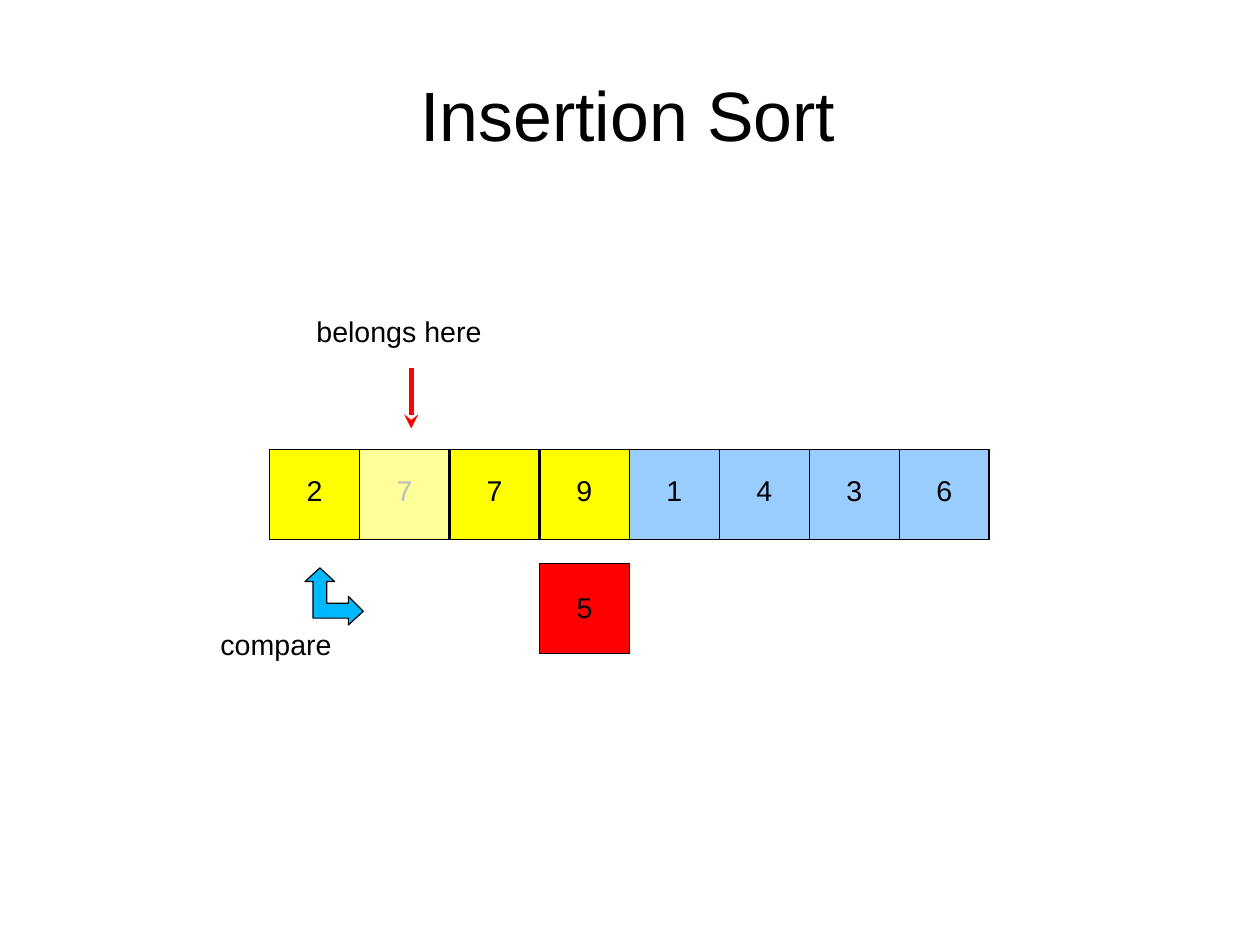
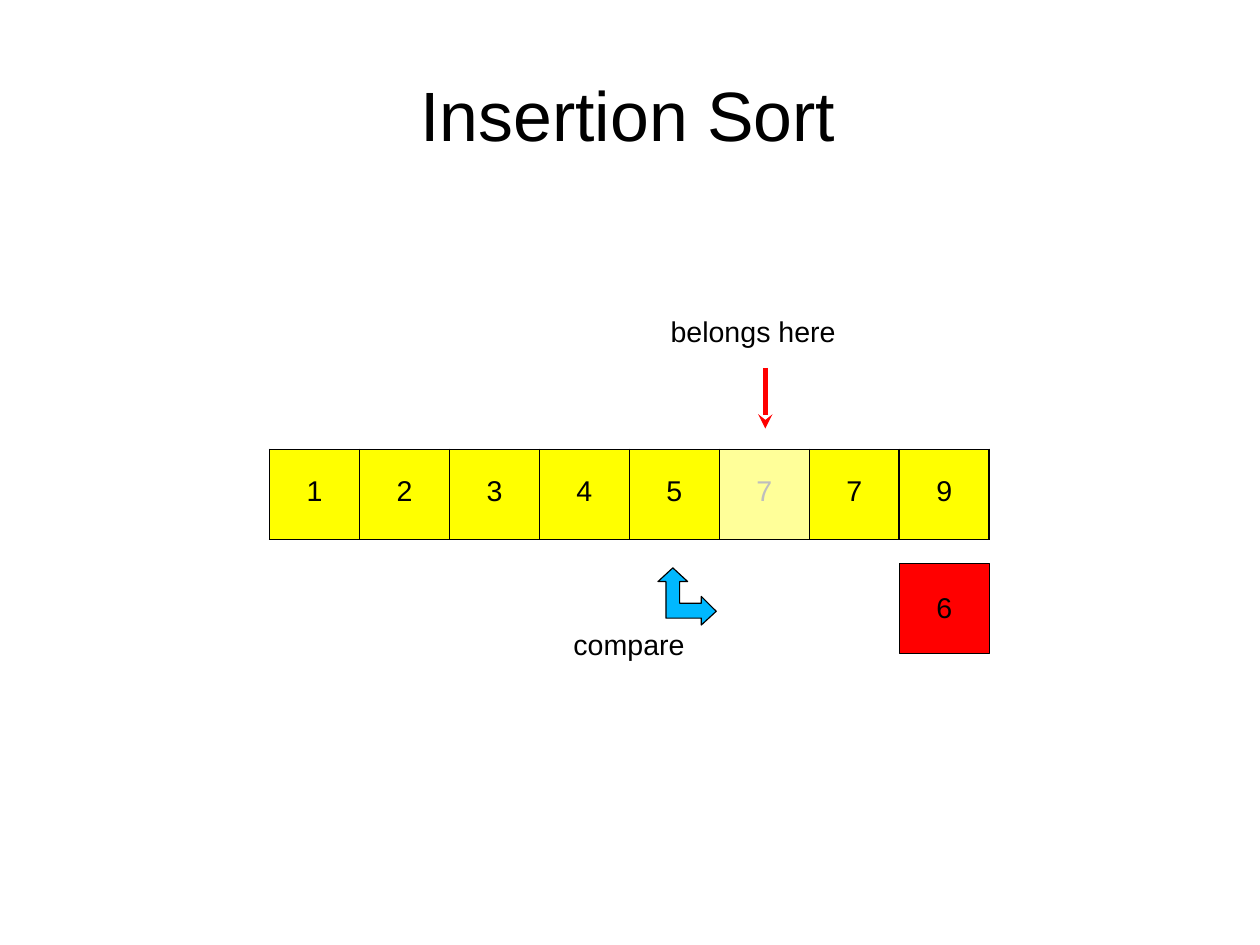
import dataclasses

import lxml.etree
import pptx
import pptx.dml.color
import pptx.enum.dml
import pptx.enum.shapes
import pptx.enum.text
import pptx.oxml.ns
import pptx.util

Inches = pptx.util.Inches
Pt = pptx.util.Pt
qn = pptx.oxml.ns.qn


@dataclasses.dataclass(frozen=True)
class Theme:
    font: str = "Arial"
    head: int = 44
    body: int = 18
    ink: str = "000000"
    faded: str = "BEBEBE"
    done: str = "FFFF00"
    todo: str = "99CCFF"
    key: str = "FF0000"
    turn: str = "00B8FF"


T = Theme()
TITLE = "Insertion Sort"

# done: sorted cells, slot: where the key belongs, below: cell above the key,
# edges: heavier vertical borders, drop and turn: left positions of the arrows
STEPS = [
    dict(row="27791436", done=4, slot=1, key="5", below=3,
         edges={2: 1.5, 3: 2.25}, drop=3.6, turn=2.67),
    dict(row="12345779", done=8, slot=5, key="6", below=7,
         edges={7: 1.5}, drop=6.7, turn=5.76),
]

LEFT, TOP, WIDE, SIDE = 2.36, 3.93, 6.3, 0.79
INSET = 0.23
KEY_TOP, TURN_TOP = 4.93, 4.97
TURN = [(0.13, 0), (0.26, 0.12), (0.19, 0.12), (0.19, 0.31), (0.38, 0.31),
        (0.38, 0.25), (0.51, 0.38), (0.38, 0.5), (0.38, 0.44), (0.07, 0.44),
        (0.07, 0.12), (0, 0.12)]


def rgb(code):
    return pptx.dml.color.RGBColor.from_string(code)


def write(frame, text, size=T.body, color=T.ink, center=True):
    para = frame.paragraphs[0]
    para.text = text
    para.font.name = T.font
    para.font.size = Pt(size)
    para.font.color.rgb = rgb(color)
    align = pptx.enum.text.PP_ALIGN
    para.alignment = align.CENTER if center else align.LEFT


def pad(item, top):
    """Set the insets of a cell or a text frame."""
    item.margin_left = item.margin_right = item.margin_bottom = 0
    item.margin_top = Inches(top)
    item.vertical_anchor = pptx.enum.text.MSO_ANCHOR.TOP


def label(slide, text, left, top, width, height, size=T.body):
    box = slide.shapes.add_textbox(*map(Inches, (left, top, width, height)))
    frame = box.text_frame
    frame.word_wrap = True
    pad(frame, 0.01)
    write(frame, text, size, center=False)


def paint(shape, fill, width):
    shape.shadow.inherit = False
    shape.fill.solid()
    shape.fill.fore_color.rgb = rgb(fill)
    shape.line.color.rgb = rgb(T.ink)
    shape.line.width = Pt(width)


def border(cell, widths):
    props = cell._tc.get_or_add_tcPr()
    for side, width in zip("LRTB", widths):
        line = lxml.etree.SubElement(props, qn("a:ln" + side), w=str(Pt(width)))
        fill = lxml.etree.SubElement(line, qn("a:solidFill"))
        lxml.etree.SubElement(fill, qn("a:srgbClr"), val=T.ink)


def add_row(slide, step):
    count = len(step["row"])
    frame = slide.shapes.add_table(
        1, count, *map(Inches, (LEFT, TOP, WIDE, SIDE)))
    table = frame.table
    table.first_row = table.horz_banding = False
    for i, text in enumerate(step["row"]):
        table.columns[i].width = Inches(WIDE / count)
        cell = table.cell(0, i)
        faded = i == step["slot"]
        pad(cell, INSET)
        write(cell.text_frame, text, color=T.faded if faded else T.ink)
        edges = [step["edges"].get(n, 1) for n in (i, i + 1)]
        border(cell, edges + [0.75, 0.75])
        cell.fill.solid()
        cell.fill.fore_color.rgb = rgb(T.done if i < step["done"] else T.todo)
        if faded:
            tint = cell._tc.tcPr.find(qn("a:solidFill"))[0]
            lxml.etree.SubElement(tint, qn("a:alpha"), val="40000")


def add_key(slide, step):
    left = LEFT + step["below"] * WIDE / len(step["row"])
    box = slide.shapes.add_shape(
        pptx.enum.shapes.MSO_SHAPE.RECTANGLE,
        *map(Inches, (left, KEY_TOP, SIDE, SIDE)))
    paint(box, T.key, 0.75)
    pad(box.text_frame, INSET)
    write(box.text_frame, step["key"])


def add_turn(slide, left):
    """Draw the bent two-headed arrow and its label."""
    dots = [(Inches(left + x), Inches(TURN_TOP + y)) for x, y in TURN]
    pen = slide.shapes.build_freeform(*dots[0])
    pen.add_line_segments(dots[1:], close=True)
    paint(pen.convert_to_shape(), T.turn, 0.75)
    label(slide, "compare", left - 0.74, 5.48, 1.02, 0.33)


def add_drop(slide, x):
    """Draw the red arrow down to the slot and its label."""
    arrow = slide.shapes.add_connector(
        pptx.enum.shapes.MSO_CONNECTOR.STRAIGHT,
        *map(Inches, (x, 3.22, x, 3.75)))
    arrow.line.color.rgb = rgb(T.key)
    arrow.line.width = Pt(3)
    lxml.etree.SubElement(arrow.line._get_or_add_ln(), qn("a:tailEnd"),
                          type="stealth")
    lxml.etree.SubElement(arrow._element.spPr, qn("a:effectLst"))
    label(slide, "belongs here", x - 0.83, 2.74, 1.5, 0.33)


def main():
    deck = pptx.Presentation()
    deck.slide_width, deck.slide_height = Inches(11.03), Inches(8.27)
    for step in STEPS:
        slide = deck.slides.add_slide(deck.slide_layouts[6])
        label(slide, TITLE, 3.68, 0.62, 3.7, 0.76, T.head)
        add_row(slide, step)
        add_key(slide, step)
        add_turn(slide, step["turn"])
        add_drop(slide, step["drop"])
    deck.save("out.pptx")


if __name__ == "__main__":
    main()
